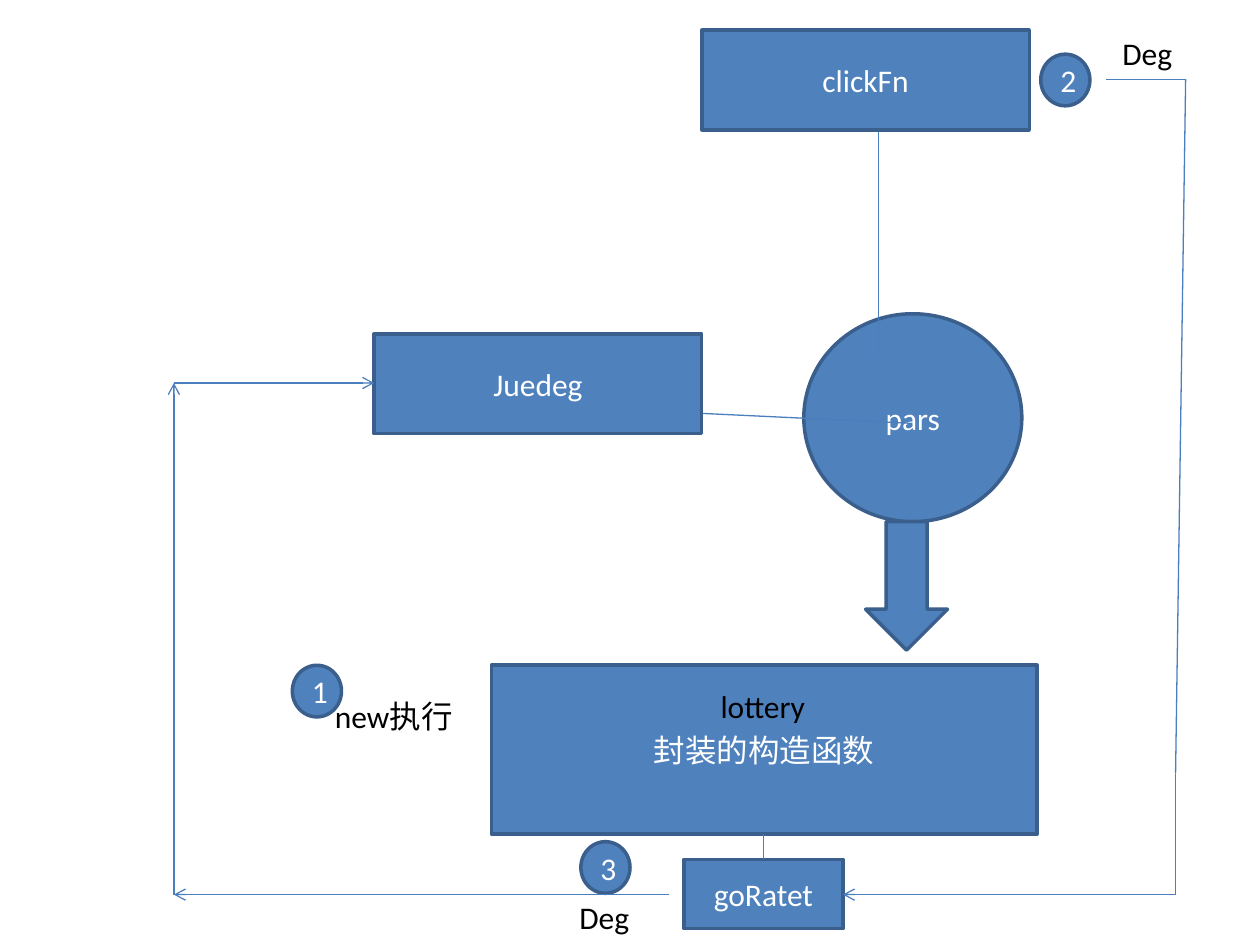
from pptx import Presentation
from pptx.dml.color import RGBColor
from pptx.enum.shapes import MSO_CONNECTOR, MSO_SHAPE
from pptx.enum.text import MSO_ANCHOR, MSO_AUTO_SIZE, PP_ALIGN
from pptx.oxml.ns import qn
from pptx.util import Inches, Pt
from lxml.etree import SubElement

COLORS = {"fill": "4F81BD", "outline": "3A5F8C", "link": "4B7EBC",
          "light": "FFFFFF", "dark": "000000"}


def rgb(name):
    return RGBColor.from_string(COLORS[name])


def add_run(p, text, color):
    r = p.add_run()
    r.text = text
    r.font.name = "Calibri"
    r.font.size = Pt(18)
    r.font.color.rgb = rgb(color)


def add_node(s, kind, box, text=""):
    sp = s.shapes.add_shape(kind, *map(Inches, box))
    sp.shadow.inherit = False
    sp.fill.solid()
    sp.fill.fore_color.rgb = rgb("fill")
    sp.line.color.rgb = rgb("outline")
    sp.line.width = Pt(2)
    if text:
        tf = sp.text_frame
        tf.vertical_anchor = MSO_ANCHOR.MIDDLE
        p = tf.paragraphs[0]
        p.alignment = PP_ALIGN.CENTER
        add_run(p, text, "light")


def add_badge(s, left, top, number):
    add_node(s, MSO_SHAPE.OVAL, (left, top, 0.39, 0.41), number)


def add_label(s, left, top, width, text, wrap=False):
    sp = s.shapes.add_textbox(*map(Inches, (left, top, width, 0.4)))
    tf = sp.text_frame
    tf.word_wrap = wrap
    tf.auto_size = MSO_AUTO_SIZE.SHAPE_TO_FIT_TEXT
    add_run(tf.paragraphs[0], text, "dark")


def add_link(s, start, end, arrow=False):
    cn = s.shapes.add_connector(MSO_CONNECTOR.STRAIGHT, *map(Inches, start + end))
    cn.line.color.rgb = rgb("link")
    cn.line.width = Pt(0.75)
    if arrow:
        SubElement(cn.line._get_or_add_ln(), qn("a:tailEnd"), type="arrow")
    SubElement(cn._element.spPr, qn("a:effectLst"))


def add_route(s, points, arrows):
    for start, end, arrow in zip(points, points[1:], arrows):
        add_link(s, start, end, arrow)


def main():
    prs = Presentation()
    prs.slide_width, prs.slide_height = Inches(10), Inches(7.5)
    s = prs.slides.add_slide(prs.slide_layouts[6])
    rect = MSO_SHAPE.RECTANGLE

    add_node(s, rect, (3.9, 5.28, 4.33, 1.34), "封装的构造函数")
    add_label(s, 5.62, 5.4, 0.88, "lottery")
    add_node(s, MSO_SHAPE.OVAL, (6.38, 2.49, 1.73, 1.65), "pars")
    add_link(s, (6.97, 2.82), (6.97, 1.01))
    add_link(s, (7.24, 3.36), (5.55, 3.28))
    add_node(s, rect, (5.57, 0.24, 2.6, 0.79), "clickFn")
    add_node(s, rect, (2.97, 2.65, 2.6, 0.79), "Juedeg")
    add_node(s, MSO_SHAPE.DOWN_ARROW, (6.87, 4.14, 0.65, 1.02))
    add_label(s, 2.56, 5.48, 1.15, "new执行", wrap=True)
    add_node(s, rect, (5.43, 6.82, 1.26, 0.55), "goRatet")
    add_link(s, (6.06, 6.62), (6.06, 6.82))

    for left, top, number in ((2.32, 5.28, "1"), (8.26, 0.43, "2"), (4.61, 6.68, "3")):
        add_badge(s, left, top, number)
    for left, top in ((8.81, 0.22), (4.5, 7.08)):
        add_label(s, left, top, 0.6, "Deg")

    add_route(s, [(8.78, 0.63), (9.41, 0.63), (9.33, 6.14), (9.33, 7.1), (6.69, 7.1)],
              [False, False, False, True])
    add_route(s, [(5.31, 7.1), (1.38, 7.1), (1.38, 3.04), (2.97, 3.04)],
              [True, True, True])

    prs.save("out.pptx")


main()
